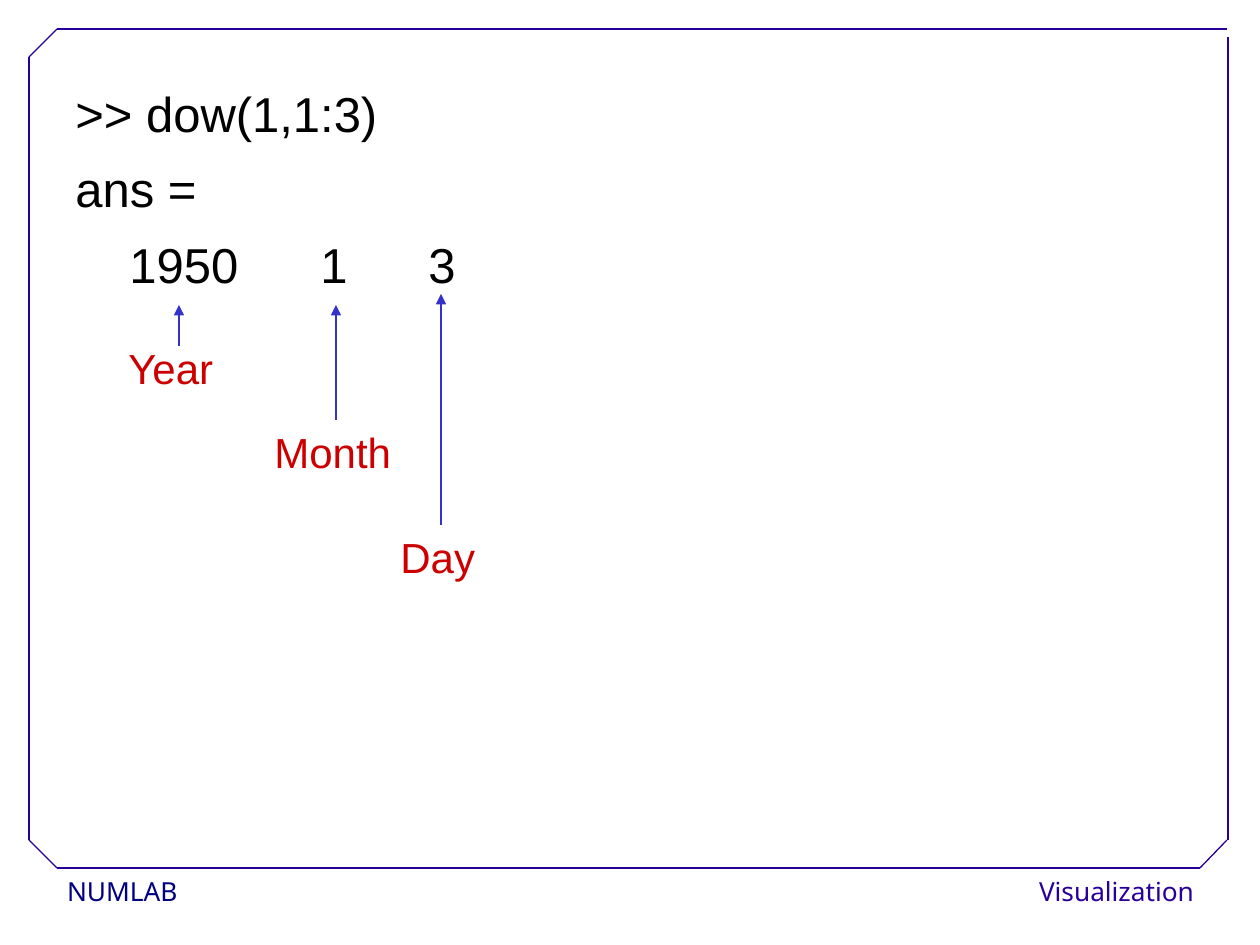
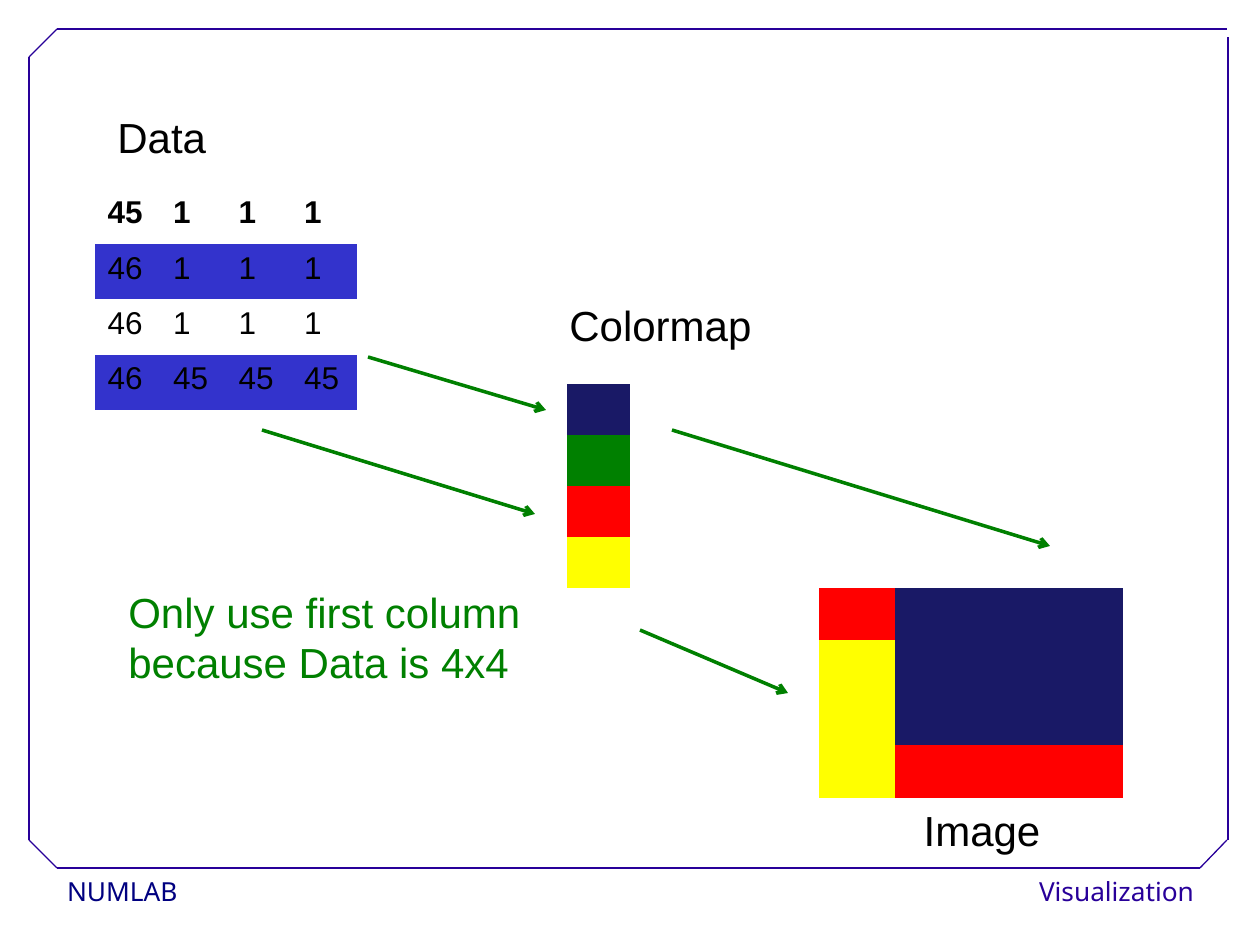
from lxml.etree import SubElement
from pptx import Presentation
from pptx.dml.color import RGBColor
from pptx.enum.shapes import MSO_CONNECTOR
from pptx.enum.text import PP_ALIGN
from pptx.oxml.ns import qn
from pptx.util import Emu, Pt

SCALE = 914400 / 126
HEX = {
    "black": "000000", "white": "FFFFFF", "note": "CC0000",
    "frame": "280099", "course": "000080", "blue": "3333CC",
    "navy": "191966", "green": "008000", "red": "FF0000", "yellow": "FFFF00",
}
NO_GRID = "{2D5ABB26-0587-4C30-8999-92F81FD0307C}"
LEFT, MID, RIGHT = PP_ALIGN.LEFT, PP_ALIGN.CENTER, PP_ALIGN.RIGHT

# Shared frame and footers
FRAME = [
    (57, 868, 1200, 868), (29, 840, 29, 57), (57, 29, 1227, 29),
    (1228, 840, 1228, 37), (29, 57, 57, 29), (1200, 868, 1227, 840),
    (29, 840, 57, 868),
]
FOOTERS = [
    ("NUMLAB", (56, 870, 246, 47), "course", LEFT),
    ("Visualization", (1005, 870, 200, 47), "frame", RIGHT),
]

# Slide 1: reading one row of the data
CODE = [">> dow(1,1:3)", "ans =", "\t1950\t1\t3"]
CODE_BOX = (63, 84, 1081, 593)
CODE_TABS = (54, 245, 353)
PARTS = [  # name, label corner, arrow x, arrow foot, arrow tip
    ("Year", (116, 336), 179, 346, 305),
    ("Day", (388, 525), 441, 525, 294),
    ("Month", (262, 420), 336, 420, 305),
]

# Slide 2: data, colormap and image
DATA = [[45, 1, 1, 1], [46, 1, 1, 1], [46, 1, 1, 1], [46, 45, 45, 45]]
DATA_BOX = (95, 189, 262, 221)
MAP = ["navy", "green", "red", "yellow"]
MAP_BOX = (567, 384, 63, 204)
TINTS = {1: "navy", 45: "red", 46: "yellow"}
IMAGE_BOX = (819, 588, 304, 210)
LABELS = [
    ("Data", (105, 105, 242, 63), "black", LEFT),
    ("Colormap", (557, 293, 242, 63), "black", LEFT),
    ("Image", (861, 798, 242, 63), "black", MID),
    ("Only use first column because Data is 4x4",
     (116, 580, 431, 113), "green", LEFT),
]
FLOWS = [
    (262, 430, 535, 514), (368, 357, 546, 410),
    (640, 630, 788, 693), (672, 430, 1050, 546),
]


def px(n):
    return Emu(round(n * SCALE))


def rgb(name):
    return RGBColor.from_string(HEX[name])


def style(font, size, color, face="Arial", bold=False):
    font.name, font.size, font.bold = face, Pt(size), bold
    font.color.rgb = rgb(color)


def write(slide, lines, box, color, size=24, align=LEFT, face="Arial"):
    """Add a text box with one paragraph per line; return its frame."""
    frame = slide.shapes.add_textbox(*map(px, box)).text_frame
    frame.word_wrap = True
    frame.text = "\n".join(lines)
    for para in frame.paragraphs:
        para.alignment = align
        for run in para.runs:
            style(run.font, size, color, face)
    return frame


def line(slide, ends, color, width, head=None):
    link = slide.shapes.add_connector(MSO_CONNECTOR.STRAIGHT, *map(px, ends))
    link.line.color.rgb = rgb(color)
    link.line.width = Pt(width)
    if head:
        SubElement(link.line._get_or_add_ln(), qn("a:tailEnd"), type=head)
    SubElement(link._element.spPr, qn("a:effectLst"))


def grid(slide, fills, box, texts=None):
    """Add a borderless table; a fill of None leaves the cell clear."""
    rows, cols = len(fills), len(fills[0])
    shape = slide.shapes.add_table(rows, cols, *map(px, box))
    table = shape.table
    table.first_row = table.horz_banding = False
    next(shape._element.iter(qn("a:tableStyleId"))).text = NO_GRID
    for col in table.columns:
        col.width = px(box[2] / cols)
    for row in table.rows:
        row.height = px(box[3] / rows)
    for r, tints in enumerate(fills):
        for c, tint in enumerate(tints):
            cell = table.cell(r, c)
            if tint:
                cell.fill.solid()
                cell.fill.fore_color.rgb = rgb(tint)
            else:
                cell.fill.background()
            if texts:
                cell.text = str(texts[r][c])
                run = cell.text_frame.paragraphs[0].runs[0]
                style(run.font, 18, "black", bold=r == 0)
            else:
                cell.margin_top = cell.margin_bottom = 0


def start(deck):
    """Add a blank slide with the shared frame and footers."""
    slide = deck.slides.add_slide(deck.slide_layouts[6])
    slide.background.fill.solid()
    slide.background.fill.fore_color.rgb = rgb("white")
    for text, box, color, align in FOOTERS:
        frame = write(slide, [text], box, color, 15, align, "Noto Sans")
        frame.margin_left = frame.margin_right = px(11)
        frame.margin_top = frame.margin_bottom = px(5)
        frame.paragraphs[0].line_spacing = 1.02
    for ends in FRAME:
        line(slide, ends, "frame", 0.75)
    return slide


def show_row(deck):
    slide = start(deck)
    frame = write(slide, CODE, CODE_BOX, "black", 28)
    for para in frame.paragraphs:
        para.line_spacing, para.space_after = 0.9, Pt(12.9)
    props = frame.paragraphs[-1]._p.get_or_add_pPr()
    tabs = SubElement(props, qn("a:tabLst"))
    for stop in CODE_TABS:
        SubElement(tabs, qn("a:tab"), pos=str(px(stop)), algn="l")
    for name, spot, x, foot, tip in PARTS:
        write(slide, [name], (*spot, 179, 63), "note")
        line(slide, (x, foot, x, tip), "blue", 0.75, "triangle")


def show_map(deck):
    slide = start(deck)
    bands = [["blue" if r % 2 else None] * len(row)
             for r, row in enumerate(DATA)]
    grid(slide, bands, DATA_BOX, DATA)
    grid(slide, [[TINTS[n] for n in row] for row in DATA], IMAGE_BOX)
    grid(slide, [[tint] for tint in MAP], MAP_BOX)
    for ends in FLOWS:
        line(slide, ends, "green", 2, "arrow")
    for text, box, color, align in LABELS:
        write(slide, [text], box, color, align=align)


def main():
    deck = Presentation()
    deck.slide_width, deck.slide_height = px(1260), px(945)
    show_row(deck)
    show_map(deck)
    deck.save("out.pptx")


if __name__ == "__main__":
    main()
